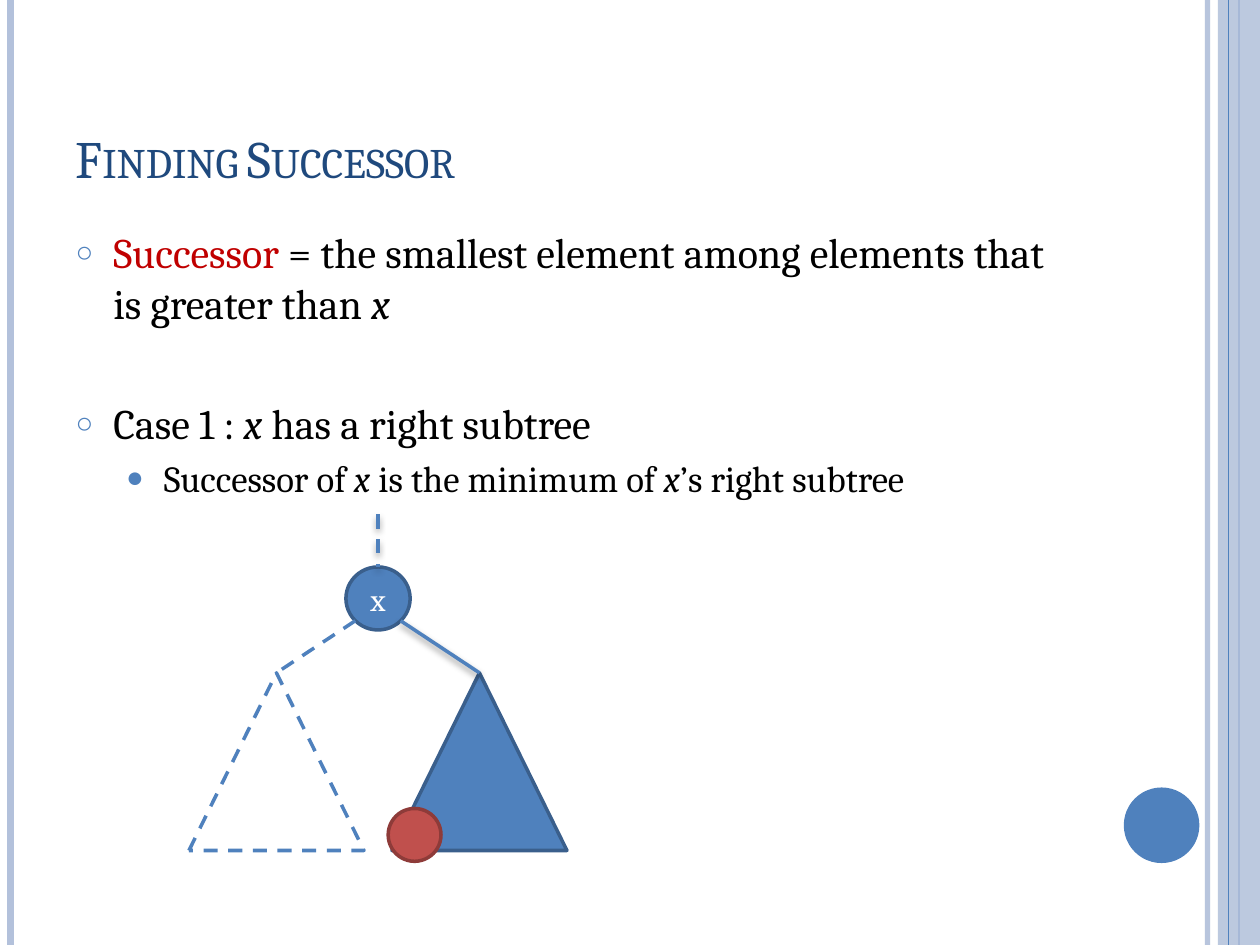
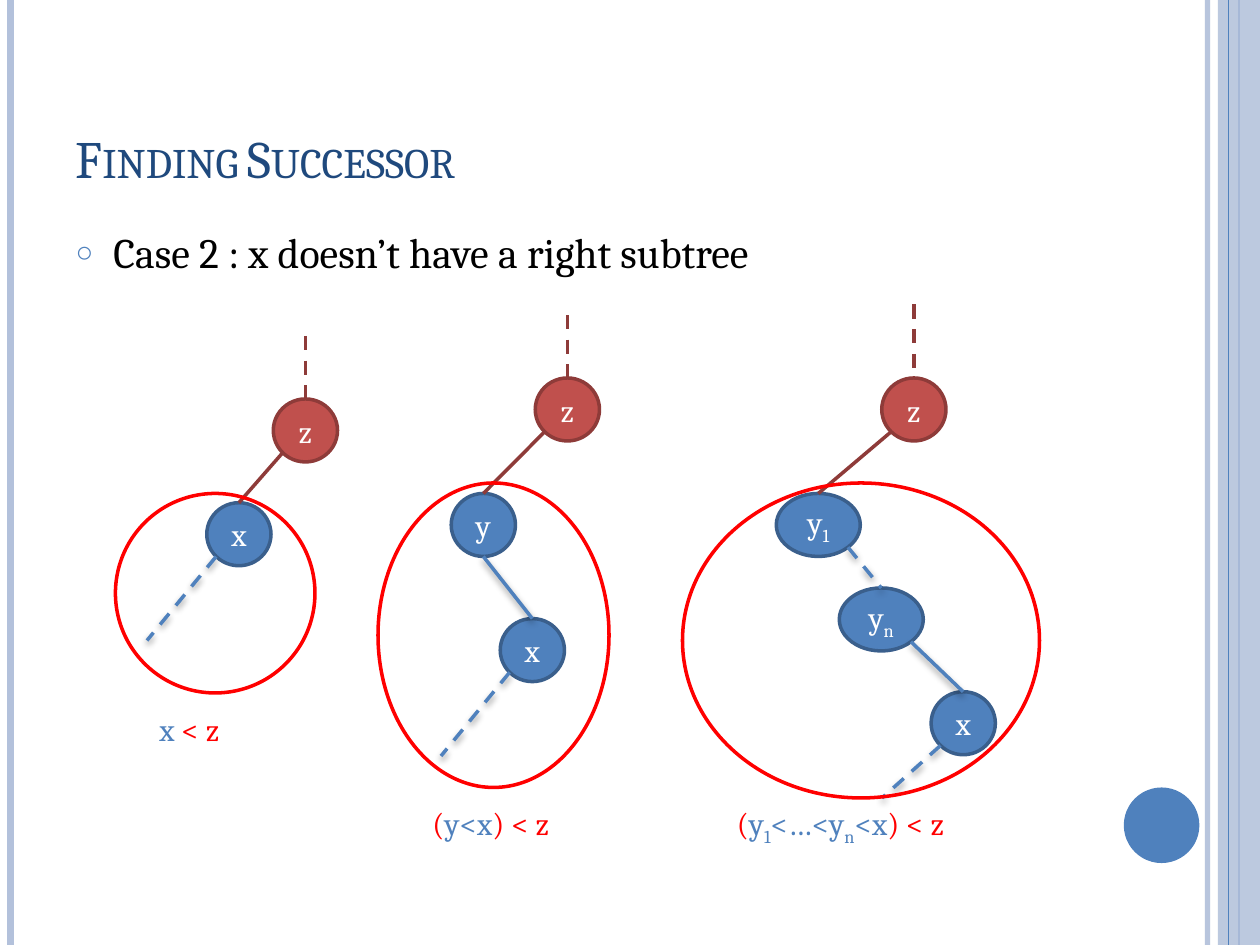
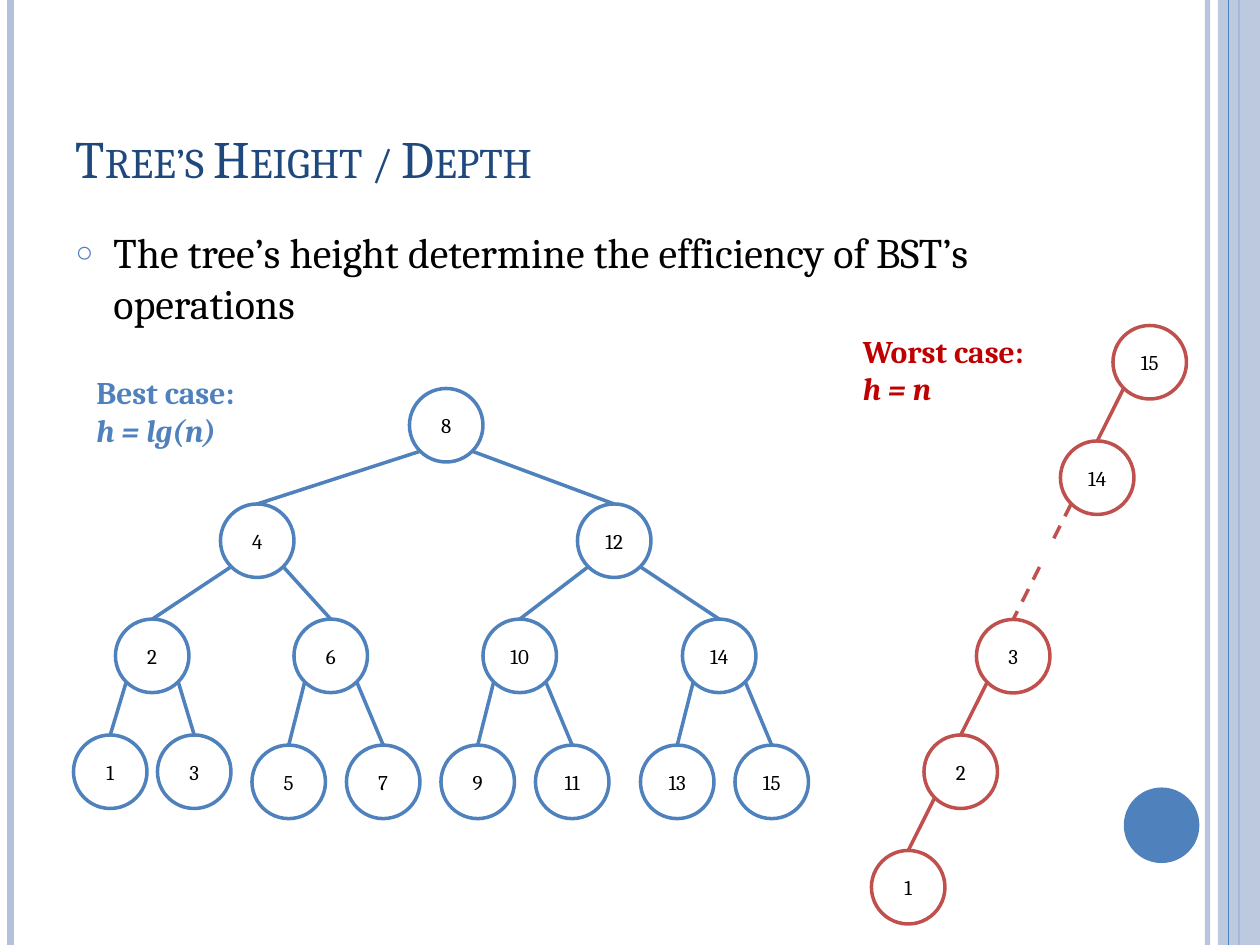
from math import sqrt

from lxml.etree import SubElement
from pptx import Presentation
from pptx.dml.color import RGBColor
from pptx.enum.dml import MSO_LINE
from pptx.enum.shapes import MSO_CONNECTOR, MSO_SHAPE
from pptx.enum.text import MSO_ANCHOR, MSO_AUTO_SIZE, PP_ALIGN
from pptx.oxml.ns import qn
from pptx.util import Pt

# Shared style
FONT = "Cambria"
BLUE, DARK_BLUE, NAVY, PALE_BLUE = "4F81BD", "3A5F8C", "1F497D", "B3C1DB"
BRICK, DARK_BRICK, CRIMSON, RED = "C0504D", "8E3B39", "C00000", "FF0000"
BLACK, WHITE = "000000", "FFFFFF"
SLIDE_WIDTH, SLIDE_HEIGHT = 720, 540
TEXT_LEFT, TEXT_WIDTH = 36, 588
LINE_WIDTH = 2
NODE_WIDTH, NODE_HEIGHT, WIDE_NODE = 36.7, 36, 48
RING = 42

ITALIC = {"italic": True}
SUBSCRIPT = {"baseline": -25000}
BULLETS = [("○", 70, 21.6, 24), ("●", 80, 50.4, 21)]  # sign, percent, indent, text size


def rgb(colour):
    return RGBColor.from_string(colour)


# Text
def write_runs(paragraph, runs, **base):
    """Each run is a plain string or a pair of text and format values."""
    for item in [runs] if isinstance(runs, str) else runs:
        text, extra = (item, {}) if isinstance(item, str) else item
        values = {"name": FONT, **base, **extra}
        run = paragraph.add_run()
        run.text = text
        run.font.color.rgb = rgb(values.pop("colour"))
        values["size"] = Pt(values["size"])
        for key in ("cap", "baseline"):
            if key in values:
                run.font._element.set(key, str(values.pop(key)))
        for key, value in values.items():
            setattr(run.font, key, value)


def place(shape, left, top, width, height):
    box = {"left": left, "top": top, "width": width, "height": height}
    for key, value in box.items():
        setattr(shape, key, Pt(value))


def add_bullet(paragraph, level):
    sign, percent, indent, _ = BULLETS[level]
    paragraph.level = level
    properties = paragraph._p.get_or_add_pPr()
    properties.set("marL", str(Pt(indent)))
    properties.set("indent", str(-Pt(21.6)))
    bullet_colour = SubElement(properties, qn("a:buClr"))
    SubElement(bullet_colour, qn("a:srgbClr"), val=BLUE)
    SubElement(properties, qn("a:buSzPct"), val=str(percent * 1000))
    SubElement(properties, qn("a:buChar"), char=sign)


def fill_title(slide, text):
    title = slide.shapes.title
    place(title, TEXT_LEFT, 21.6, TEXT_WIDTH, 90)
    frame = title.text_frame
    frame.auto_size = MSO_AUTO_SIZE.NONE
    frame.vertical_anchor = MSO_ANCHOR.BOTTOM
    paragraph = frame.paragraphs[0]
    paragraph.alignment = PP_ALIGN.LEFT
    write_runs(paragraph, text, size=30, colour=NAVY, cap="small")


def fill_body(slide, height, items):
    """Each item is a level, a space before and its runs."""
    body = slide.placeholders[1]
    place(body, TEXT_LEFT, 126, TEXT_WIDTH, height)
    frame = body.text_frame
    frame.auto_size = MSO_AUTO_SIZE.NONE
    for index, (level, space, runs) in enumerate(items):
        paragraph = frame.add_paragraph() if index else frame.paragraphs[0]
        add_bullet(paragraph, level)
        paragraph.space_before = Pt(space)
        write_runs(paragraph, runs, size=BULLETS[level][3], colour=BLACK)


def add_label(slide, left, top, width, lines, **style):
    height = 7.2 + 22 * len(lines)
    box = slide.shapes.add_textbox(Pt(left), Pt(top), Pt(width), Pt(height))
    frame = box.text_frame
    frame.word_wrap = True
    for index, runs in enumerate(lines):
        paragraph = frame.add_paragraph() if index else frame.paragraphs[0]
        write_runs(paragraph, runs, size=18, **style)


# Shapes and lines
def set_alpha(shape, percent):
    colour = next(shape.element.iter(qn("a:srgbClr")))
    SubElement(colour, qn("a:alpha"), val=str(percent * 1000))


def add_figure(slide, kind, box, fill=None, line=None, dashed=False):
    shape = slide.shapes.add_shape(kind, *map(Pt, box))
    shape.shadow.inherit = False
    if fill:
        shape.fill.solid()
        shape.fill.fore_color.rgb = rgb(fill)
    else:
        shape.fill.background()
    if line:
        shape.line.color.rgb = rgb(line)
        shape.line.width = Pt(LINE_WIDTH)
        if dashed:
            shape.line.dash_style = MSO_LINE.DASH
    else:
        shape.line.fill.background()
    return shape


def add_node(slide, runs, centre, top, width=NODE_WIDTH, height=NODE_HEIGHT,
             fill=BLUE, line=DARK_BLUE, size=18, colour=WHITE):
    node = add_figure(slide, MSO_SHAPE.OVAL, (centre - width / 2, top, width, height), fill, line)
    frame = node.text_frame
    frame.word_wrap = False
    frame.vertical_anchor = MSO_ANCHOR.MIDDLE
    for side in ("left", "top", "right", "bottom"):
        setattr(frame, f"margin_{side}", 0)
    frame.paragraphs[0].alignment = PP_ALIGN.CENTER
    write_runs(frame.paragraphs[0], runs, size=size, colour=colour)
    return node


def add_line(slide, start, end, colour=BLUE, width=LINE_WIDTH, dashed=False, shadow=False):
    """The end is a point, or a shape that is met at its top."""
    is_point = isinstance(end, tuple)
    target = end if is_point else start
    line = slide.shapes.add_connector(MSO_CONNECTOR.STRAIGHT, *map(Pt, start + target))
    if not is_point:
        line.end_connect(end, 0)
    line.line.color.rgb = rgb(colour)
    line.line.width = Pt(width)
    if dashed:
        line.line.dash_style = MSO_LINE.DASH
    effects = SubElement(line.element.spPr, qn("a:effectLst"))
    if shadow:
        outer = SubElement(effects, qn("a:outerShdw"), blurRad=str(Pt(4)), dist=str(Pt(2)),
                           dir="5400000", rotWithShape="0")
        shade = SubElement(outer, qn("a:srgbClr"), val=BLACK)
        SubElement(shade, qn("a:alpha"), val="40000")
    return line


def lower_point(node, side):
    """Point on the lower edge of an oval: -1 left, 0 bottom, 1 right."""
    reach = 1 / sqrt(2) if side else 1
    across = node.left.pt + node.width.pt / 2 * (1 + side * reach)
    return across, node.top.pt + node.height.pt / 2 * (1 + reach)


# Slide with side bands, title and list
def add_band(slide, left, colour, width):
    return add_line(slide, (left, 0), (left, SLIDE_HEIGHT), colour, width)


def new_slide(presentation, title, body_height, items):
    slide = presentation.slides.add_slide(presentation.slide_layouts[1])
    set_alpha(add_band(slide, 690, PALE_BLUE, 3), 93)
    add_band(slide, 6, PALE_BLUE, 4.5)
    add_band(slide, 708, BLUE, 1.5)
    strip = add_figure(slide, MSO_SHAPE.RECTANGLE, (696, 0, 24, SLIDE_HEIGHT), PALE_BLUE)
    set_alpha(strip, 87)
    add_band(slide, 702, BLUE, 0.75)
    add_figure(slide, MSO_SHAPE.OVAL, (642.2, 450, 43.2, 43.2), BLUE)
    fill_title(slide, title)
    fill_body(slide, body_height, items)
    return slide


# Case 1: right subtree
def draw_right_subtree(slide):
    node = add_node(slide, "x", 216, 324)
    left_tree, right_tree = [
        add_figure(slide, MSO_SHAPE.ISOSCELES_TRIANGLE, (left, 384.5, 100, 101.5), fill, line, dashed)
        for left, fill, line, dashed in [(108, WHITE, BLUE, True), (224, BLUE, DARK_BLUE, False)]
    ]
    add_line(slide, lower_point(node, -1), left_tree, dashed=True)
    add_line(slide, lower_point(node, 1), right_tree, shadow=True)
    add_line(slide, (216, 294), node, dashed=True, shadow=True)
    add_figure(slide, MSO_SHAPE.OVAL, (221.8, 462, 30.2, 30.2), BRICK, DARK_BRICK)


# Case 2: z above a chain that ends in x
def draw_chain(slide, root, stem_top, chain, tail, outline, label):
    """Each chain node is its runs, centre, top, width, side below and dashed link below."""
    ancestor = add_node(slide, "z", *root, fill=BRICK, line=DARK_BRICK)
    add_line(slide, (root[0], stem_top), ancestor, DARK_BRICK, dashed=True)
    nodes = [add_node(slide, *entry[:4]) for entry in chain]
    add_line(slide, lower_point(ancestor, -1), nodes[0], DARK_BRICK)
    for node, entry, end in zip(nodes, chain, nodes[1:] + [tail]):
        side, dashed = entry[4:]
        add_line(slide, lower_point(node, side), end, dashed=dashed, shadow=True)
    left, top, width, runs = label
    add_label(slide, left, top, width, [runs], colour=BLUE)
    add_figure(slide, MSO_SHAPE.OVAL, outline, line=RED)


def draw_chains(slide):
    red = {"colour": RED}
    draw_chain(slide, (174.5, 228), 192, [("x", 136.5, 287.3, NODE_WIDTH, -1, True)],
               (84, 366), (66, 282, 114, 114), (84, 402, 61, ["x ", ("< z", red)]))
    draw_chain(slide, (324.2, 216), 180,
               [("y", 276.2, 282, NODE_WIDTH, 0, False),
                ("x", 304.2, 353.5, NODE_WIDTH, -1, True)],
               (252, 432), (216, 276, 132, 174),
               (240, 456, 101.5, [("(", red), "y<x", (") < z", red)]))
    draw_chain(slide, (522.2, 216), 174,
               [(["y", ("1", SUBSCRIPT)], 467.6, 282, WIDE_NODE, 1, True),
                (["y", ("n", SUBSCRIPT)], 503.6, 336, WIDE_NODE, 1, False),
                ("x", 550.4, 395.3, NODE_WIDTH, -1, True)],
               (504, 456), (390, 276, 204, 180),
               (414, 456, 174, [("(", red), "y", ("1", SUBSCRIPT), "<…<y", ("n", SUBSCRIPT),
                                "<x", (") < z", red)]))


# Balanced and degenerate trees
def add_ring(slide, key, centre, top, colour):
    return add_node(slide, str(key), centre, top, RING, RING, WHITE, colour, 12, BLACK)


def draw_best_case(slide):
    # Level order: the parent of entry i is entry (i - 1) // 2
    entries = [(8, 255, 222), (4, 147, 288), (12, 351, 288),
               (2, 87, 353.8), (6, 189, 353.8), (10, 297, 353.8), (14, 411, 353.8),
               (1, 63, 420), (3, 111, 420), (5, 165, 425.8), (7, 219, 425.8),
               (9, 273, 425.8), (11, 327, 425.8), (13, 387, 425.8), (15, 441, 425.8)]
    rings = [add_ring(slide, *entry, BLUE) for entry in entries]
    for index, ring in enumerate(rings[1:], 1):
        side = -1 if index % 2 else 1
        add_line(slide, lower_point(rings[(index - 1) // 2], side), ring)
    add_label(slide, 48, 209.5, 119, ["Best case:", [("h = lg(n)", ITALIC)]], colour=BLUE, bold=True)


def draw_worst_case(slide):
    entries = [(15, 657, 186), (14, 627, 252), (3, 579, 354), (2, 549, 420), (1, 519, 486)]
    rings = [add_ring(slide, *entry, BRICK) for entry in entries]
    for index in (0, 2, 3):
        add_line(slide, lower_point(rings[index], -1), rings[index + 1], BRICK)
    add_line(slide, lower_point(rings[1], -1), (600, 312), BRICK, dashed=True)
    add_line(slide, (594, 324), rings[2], BRICK, dashed=True)
    add_label(slide, 486, 186, 127, ["Worst case:", [("h = n", ITALIC)]], colour=CRIMSON, bold=True)


def main():
    presentation = Presentation()
    presentation.slide_width, presentation.slide_height = Pt(SLIDE_WIDTH), Pt(SLIDE_HEIGHT)
    x = ("x", ITALIC)

    slide = new_slide(presentation, "Finding Successor", 180, [
        (0, 0, [("Successor", {"colour": CRIMSON}),
                " = the smallest element among elements that is greater than ", x]),
        (0, 40, ["Case 1 : ", x, " has a right subtree"]),
        (1, 4.2, ["Successor of ", x, " is the minimum of ", x, "’s right subtree"]),
    ])
    draw_right_subtree(slide)

    slide = new_slide(presentation, "Finding Successor", 384, [
        (0, 0, "Case 2 : x doesn’t have a right subtree")])
    draw_chains(slide)

    slide = new_slide(presentation, "Tree’s Height / Depth", 66, [
        (0, 0, "The tree’s height determine the efficiency of BST’s operations")])
    draw_best_case(slide)
    draw_worst_case(slide)

    presentation.save("out.pptx")


if __name__ == "__main__":
    main()
